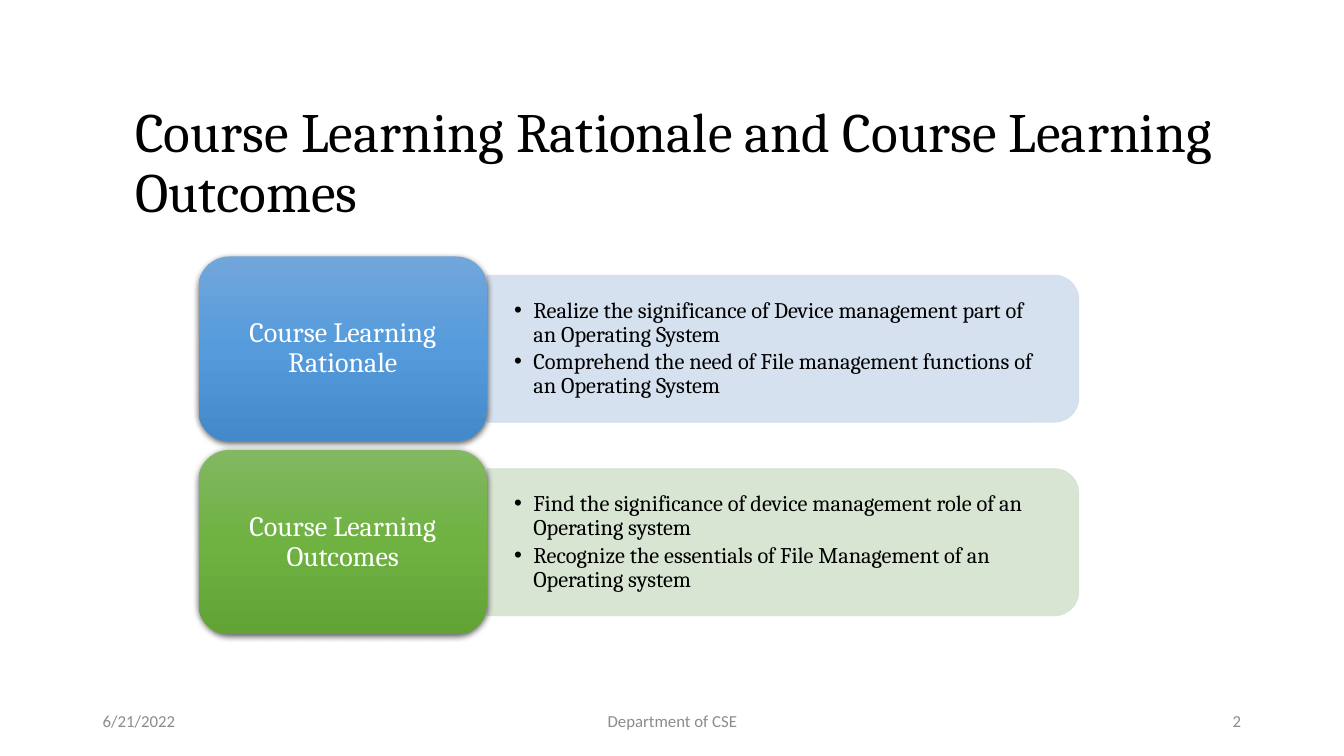
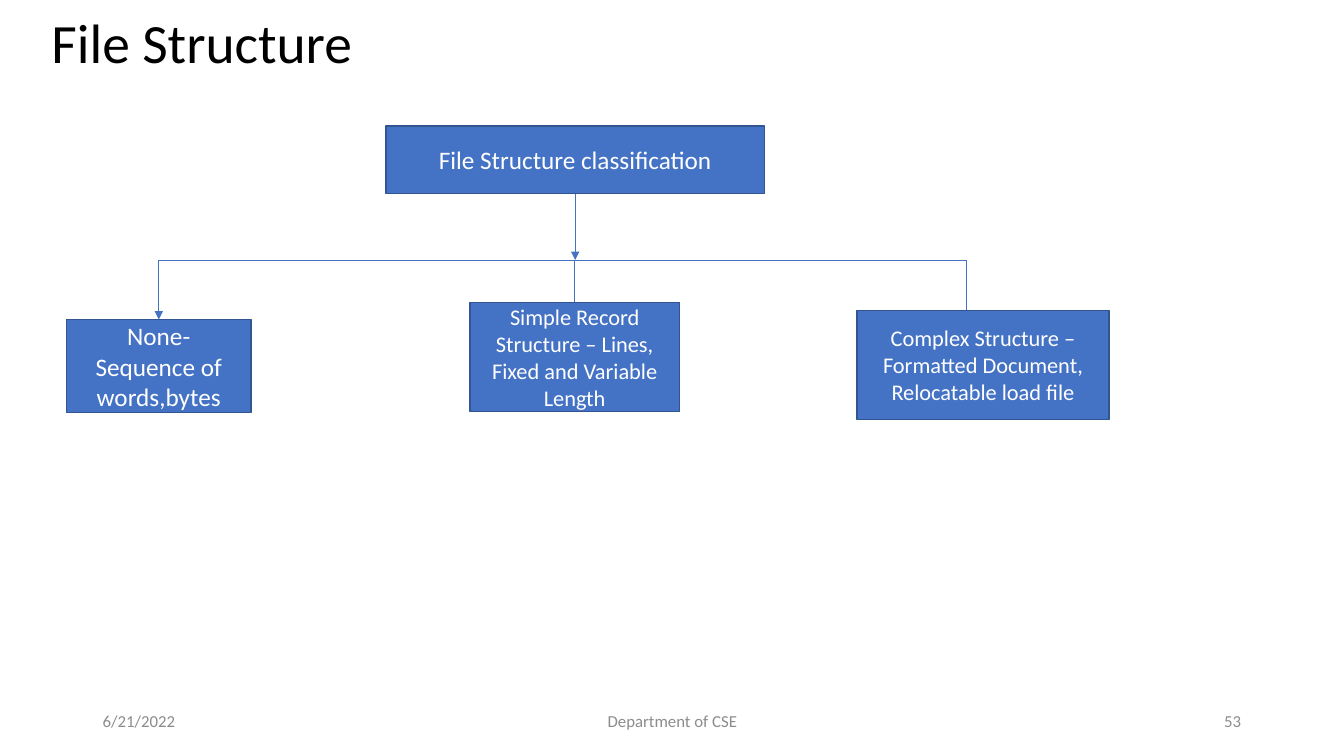
import lxml.etree
import pptx
import pptx.dml.color
import pptx.enum.shapes
import pptx.enum.text
import pptx.oxml.ns
import pptx.util

Inches = pptx.util.Inches
Pt = pptx.util.Pt
qn = pptx.oxml.ns.qn
ALIGN = pptx.enum.text.PP_ALIGN
ANCHOR = pptx.enum.text.MSO_ANCHOR
SHAPES = pptx.enum.shapes.MSO_SHAPE

COLORS = {
    "text": "000000",
    "white": "FFFFFF",
    "footer": "8C8C8C",
    "box": "4472C4",
    "box_line": "325491",
    "blue_panel": "D2DEEF",
    "green_panel": "D5E3CF",
}
GRADIENTS = {
    "blue": ["71A6DB", "559BDB", "448ACA"],
    "green": ["81B861", "6FB242", "62A336"],
}
TITLE_SIZE = 39.6
TOP, BOTTOM = 0, 2  # connection sites of a rectangle


def rgb(name):
    return pptx.dml.color.RGBColor.from_string(COLORS[name])


def sub(parent, tag, **attributes):
    return lxml.etree.SubElement(parent, qn(tag), **attributes)


def set_frame(shape, insets=(0.1, 0.05)):
    frame = shape.text_frame
    frame.word_wrap = True
    frame.auto_size = pptx.enum.text.MSO_AUTO_SIZE.NONE
    frame.vertical_anchor = ANCHOR.MIDDLE
    frame.margin_left = frame.margin_right = Inches(insets[0])
    frame.margin_top = frame.margin_bottom = Inches(insets[1])
    return frame


def write(paragraph, text, size, font, color, align=ALIGN.LEFT, spacing=1.0):
    paragraph.alignment = align
    paragraph.line_spacing = spacing
    run = paragraph.add_run()
    run.text = text
    run.font.size = Pt(size)
    run.font.name = font
    run.font.color.rgb = rgb(color)


def add_bullet(paragraph, indent):
    properties = paragraph._p.get_or_add_pPr()
    properties.set("marL", str(Inches(indent)))
    properties.set("indent", str(-Inches(indent)))
    sub(properties, "a:buFont", typeface="Arial")
    sub(properties, "a:buChar", char="•")


# Shared slide parts
def add_slide(presentation, title, font, place, number):
    slide = presentation.slides.add_slide(presentation.slide_layouts[5])
    shape = slide.shapes.title
    shape.left, shape.top, shape.width, shape.height = map(Inches, place)
    paragraph = set_frame(shape).paragraphs[0]
    write(paragraph, title, TITLE_SIZE, font, "text", spacing=0.9)
    add_footer(slide, number)
    return slide


def add_footer(slide, number):
    for left, width, text, align in (
        (0.92, 3, "6/21/2022", ALIGN.LEFT),
        (4.42, 4.5, "Department of CSE", ALIGN.CENTER),
        (9.41, 3, str(number), ALIGN.RIGHT),
    ):
        box = slide.shapes.add_textbox(
            Inches(left), Inches(6.95), Inches(width), Inches(0.4))
        write(set_frame(box).paragraphs[0], text, 12, "Calibri", "footer", align)


# Rows of a gradient label and a bulleted panel
def set_alpha(fill_parent, percent):
    for color in fill_parent.iter(qn("a:srgbClr")):
        sub(color, "a:alpha", val=str(percent * 1000))


def add_panel(slide, middle, color, bullets):
    left, width, height = 4.83, 5.87, 1.46
    # The shape is turned a quarter, so its frame is upright
    panel = slide.shapes.add_shape(
        SHAPES.ROUND_2_SAME_RECTANGLE,
        Inches(left + (width - height) / 2), Inches(middle - width / 2),
        Inches(height), Inches(width))
    panel.rotation = 90
    panel.shadow.inherit = False
    panel.fill.solid()
    panel.fill.fore_color.rgb = rgb(color)
    panel.line.color.rgb = rgb(color)
    panel.line.width = Pt(0.5)
    set_alpha(panel._element.spPr, 90)

    box = slide.shapes.add_textbox(
        Inches(left), Inches(middle - 0.66), Inches(5.79), Inches(1.32))
    frame = set_frame(box, (0.27, 0.14))
    for index, text in enumerate(bullets):
        paragraph = frame.add_paragraph() if index else frame.paragraphs[0]
        write(paragraph, text, 16, "Cambria", "text", spacing=0.9)
        paragraph.space_after = Pt(2.4)
        add_bullet(paragraph, 0.19)


def add_label(slide, middle, gradient, text):
    height = 1.83
    label = slide.shapes.add_shape(
        SHAPES.ROUNDED_RECTANGLE, Inches(1.97), Inches(middle - height / 2),
        Inches(2.86), Inches(height))
    label.line.fill.background()
    label.fill.gradient()
    label.fill.gradient_angle = 270
    properties = label._element.spPr
    stops = properties.find(".//" + qn("a:gsLst"))
    stops.clear()
    for position, color in zip((0, 50000, 100000), GRADIENTS[gradient]):
        stop = sub(stops, "a:gs", pos=str(position))
        sub(stop, "a:srgbClr", val=color)

    label.shadow.inherit = False
    shadow = sub(properties.find(qn("a:effectLst")), "a:outerShdw",
                 blurRad=str(Pt(4.5)), dist=str(Pt(1.5)), dir="5400000",
                 algn="ctr", rotWithShape="0")
    sub(shadow, "a:srgbClr", val="000000")
    set_alpha(shadow, 63)
    write(set_frame(label, (0.17, 0.13)).paragraphs[0], text, 20, "Cambria",
          "white", ALIGN.CENTER, 0.9)


# Parts of the classification tree
def add_box(slide, place, text, size):
    box = slide.shapes.add_shape(SHAPES.RECTANGLE, *map(Inches, place))
    box.shadow.inherit = False
    box.fill.solid()
    box.fill.fore_color.rgb = rgb("box")
    box.line.color.rgb = rgb("box_line")
    box.line.width = Pt(1)
    write(set_frame(box).paragraphs[0], text, size, "Calibri", "white",
          ALIGN.CENTER)
    return box


def add_line(slide, start, end, arrow=False):
    line = slide.shapes.add_connector(
        pptx.enum.shapes.MSO_CONNECTOR.STRAIGHT, *start, *end)
    line.line.color.rgb = rgb("box")
    line.line.width = Pt(0.5)
    if arrow:
        sub(line.line._get_or_add_ln(), "a:tailEnd", type="triangle")
    sub(line._element.spPr, "a:effectLst")
    return line


def center_x(shape):
    return shape.left + shape.width // 2


def build_outcomes(presentation):
    slide = add_slide(
        presentation, "Course Learning Rationale and Course Learning Outcomes",
        "Cambria", (1.24, 1.03, 11.11, 1.2), 2)
    rows = (
        ("blue", "Course Learning Rationale", (
            "Realize the significance of Device management part of an Operating System",
            "Comprehend the need of File management functions of an Operating System")),
        ("green", "Course Learning Outcomes", (
            "Find the significance of device management role of an Operating system",
            "Recognize the essentials of File Management of an Operating system")),
    )
    for index, (color, label, bullets) in enumerate(rows):
        middle = 3.46 + 1.92 * index
        add_panel(slide, middle, color + "_panel", bullets)
        add_label(slide, middle, color, label)


def build_file_structure(presentation):
    slide = add_slide(presentation, "File Structure", "Calibri",
                      (0.41, 0.08, 11.92, 0.75), 53)
    root = add_box(slide, (3.83, 1.25, 3.75, 0.67),
                   "File Structure classification", 18)
    none = add_box(slide, (0.66, 3.17, 1.83, 0.92),
                   "None- Sequence of words,bytes", 18)
    simple = add_box(slide, (4.66, 3, 2.08, 1.08),
                     "Simple Record Structure – Lines, Fixed and Variable Length", 16)
    complex_box = add_box(slide, (8.5, 3.08, 2.5, 1.08),
                          "Complex Structure – Formatted Document, Relocatable load file", 16)

    # Trunk, crossbar and branches
    bar_y, right_x = Inches(2.58), Inches(9.58)
    root_x, none_x, simple_x = map(center_x, (root, none, simple))
    trunk = add_line(slide, (root_x, root.top + root.height),
                     (root_x, bar_y), arrow=True)
    trunk.begin_connect(root, BOTTOM)
    add_line(slide, (none_x, bar_y), (right_x, bar_y))
    for box, x, arrow in ((none, none_x, True), (simple, simple_x, False)):
        branch = add_line(slide, (x, bar_y), (x, box.top), arrow)
        branch.end_connect(box, TOP)
    add_line(slide, (right_x, bar_y), (right_x, complex_box.top))


def main():
    presentation = pptx.Presentation()
    presentation.slide_width = Inches(13.33)
    presentation.slide_height = Inches(7.5)
    build_outcomes(presentation)
    build_file_structure(presentation)
    presentation.save("out.pptx")


if __name__ == "__main__":
    main()
